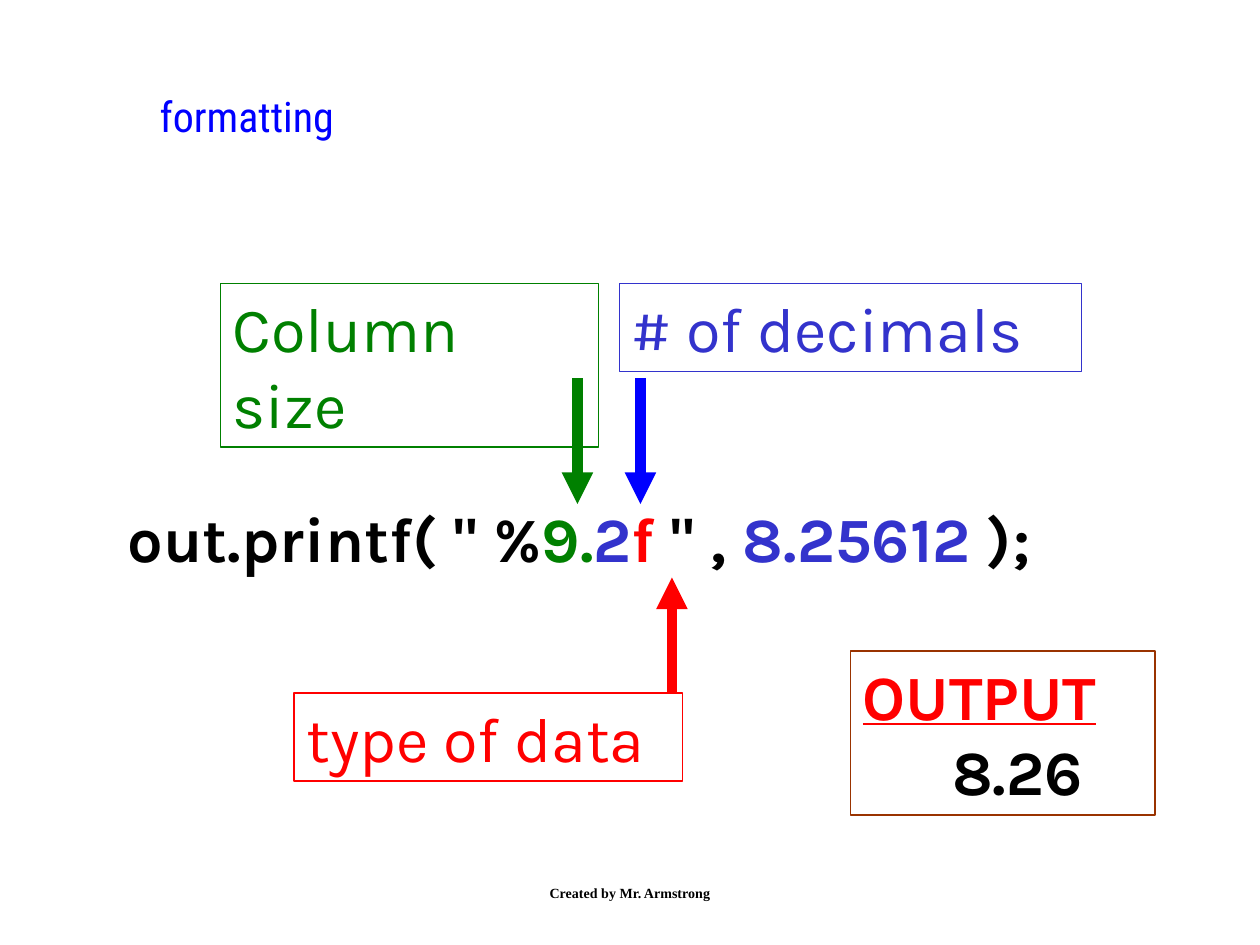
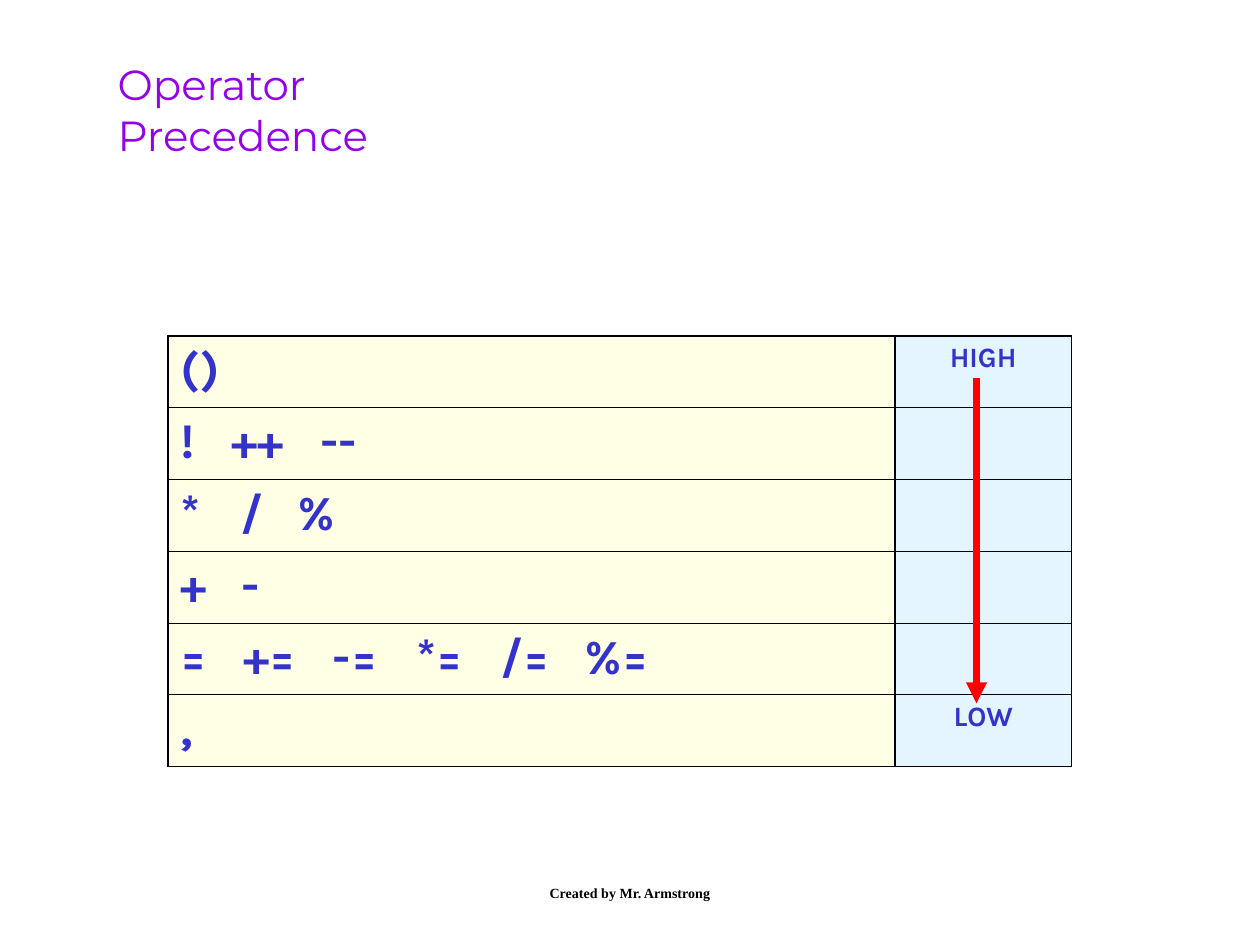
from dataclasses import dataclass

from lxml import etree
from pptx import Presentation
from pptx.dml.color import RGBColor
from pptx.enum.shapes import MSO_CONNECTOR, MSO_SHAPE
from pptx.enum.text import MSO_ANCHOR, MSO_AUTO_SIZE, PP_ALIGN
from pptx.oxml.ns import qn
from pptx.util import Pt

STRAIGHT = MSO_CONNECTOR.STRAIGHT
RECT = MSO_SHAPE.RECTANGLE
LEFT, CENTER = PP_ALIGN.LEFT, PP_ALIGN.CENTER
TOP, MIDDLE = MSO_ANCHOR.TOP, MSO_ANCHOR.MIDDLE
FIXED = MSO_AUTO_SIZE.NONE

HEX = {
    "black": "000000", "blue": "0000FF", "indigo": "3333CC",
    "green": "008000", "red": "FF0000", "brown": "993300",
    "violet": "9400ED", "cream": "FFFFCC", "sky": "CCECFF",
}
INSETS = {"margin_left": Pt(7.2), "margin_right": Pt(7.2),
          "margin_top": Pt(3.6), "margin_bottom": Pt(3.6)}
LARGE = {"name": "Karla", "size": Pt(36)}
CODE = LARGE | {"bold": True}
SIGN = {"name": "Karla", "size": Pt(28), "bold": True}
RANK = SIGN | {"size": Pt(16)}
CREDIT = {"name": "Times New Roman", "size": Pt(8), "bold": True}
THICK, THIN = 1.08, 0.45


@dataclass(frozen=True)
class Box:
    x: float
    y: float
    w: float
    h: float

    def place(self):
        return [Pt(n) for n in (self.x, self.y, self.w, self.h)]


@dataclass(frozen=True)
class Span:
    text: str
    color: str
    form: dict


@dataclass(frozen=True)
class Label:
    box: Box
    edge: str
    lines: tuple[Span, ...]


@dataclass(frozen=True)
class Arrow:
    x: float
    start: float
    end: float
    color: str
    width: float = 6


@dataclass(frozen=True)
class Level:
    signs: tuple[str, ...]
    stops: tuple[float, ...] = ()
    rank: str = ""


ARROWS = (
    Arrow(366, 216, 288, "blue"),
    Arrow(330, 216, 288, "green"),
    Arrow(384, 396, 330, "red"),
)
LABELS = (
    Label(Box(486, 372, 174, 93.6), "brown",
          (Span("OUTPUT", "red", CODE | {"underline": True}),
           Span("8.26", "black", CODE))),
    Label(Box(126, 162, 216, 93.6), "green",
          (Span("Column size", "green", LARGE),)),
    Label(Box(354, 162, 264, 50.4), "indigo",
          (Span("# of decimals", "indigo", LARGE),)),
    Label(Box(168, 396, 222, 50.4), "red",
          (Span("type of data", "red", LARGE),)),
)
CALL = (
    ('out.printf( " %', "black"), ("9.", "green"), ("2", "indigo"),
    ("f", "red"), (' " , ', "black"), ("8.25612 ", "indigo"), (");", "black"),
)
LEVELS = (
    Level(("()",), rank="HIGH"),
    Level(("!", "++", "--"), (29, 80)),
    Level(("*", "/", "%"), (34, 67)),
    Level(("+", "-"), (35,)),
    Level(("=", "+=", "-=", "*=", "/=", "%="), (36, 87, 135, 183, 231)),
    Level((",",), rank="LOW"),
)


def rgb(color: str) -> RGBColor:
    return RGBColor.from_string(HEX[color])


def apply(target, values: dict) -> None:
    for key, value in values.items():
        setattr(target, key, value)


def add_run(para, span: Span) -> None:
    run = para.add_run()
    run.text = span.text
    apply(run.font, span.form)
    run.font.color.rgb = rgb(span.color)


def set_frame(frame, wrap: bool = True, anchor=TOP) -> None:
    apply(frame, INSETS | {"word_wrap": wrap, "auto_size": FIXED,
                           "vertical_anchor": anchor})


def add_text(slide, box: Box, spans: list[Span], align=LEFT, anchor=TOP) -> None:
    frame = slide.shapes.add_textbox(*box.place()).text_frame
    set_frame(frame, anchor=anchor)
    para = frame.paragraphs[0]
    para.alignment = align
    for span in spans:
        add_run(para, span)


def add_label(slide, label: Label) -> None:
    """Outlined box; each line after the first is indented."""
    shape = slide.shapes.add_shape(RECT, *label.box.place())
    shape.shadow.inherit = False
    shape.fill.background()
    shape.line.color.rgb = rgb(label.edge)
    shape.line.width = Pt(1)
    frame = shape.text_frame
    set_frame(frame)
    for i, span in enumerate(label.lines):
        para = frame.add_paragraph() if i else frame.paragraphs[0]
        para.alignment = LEFT
        if i:
            para._p.get_or_add_pPr().set("marL", str(Pt(51)))
        add_run(para, span)


def add_arrow(slide, arrow: Arrow) -> None:
    x = Pt(arrow.x)
    line = slide.shapes.add_connector(
        STRAIGHT, x, Pt(arrow.start), x, Pt(arrow.end))
    line.line.color.rgb = rgb(arrow.color)
    line.line.width = Pt(arrow.width)
    props = line._element.spPr
    etree.SubElement(props.find(qn("a:ln")), qn("a:tailEnd"), type="triangle")
    etree.SubElement(props, qn("a:effectLst"))


def add_slide(deck, title: str, box: Box, font: str, color: str):
    """Slide with the shared title style and footer."""
    slide = deck.slides.add_slide(deck.slide_layouts[5])
    head = slide.shapes.title
    head.left, head.top, head.width, head.height = box.place()
    frame = head.text_frame
    set_frame(frame, wrap=False)
    for i, text in enumerate(title.split("\n")):
        para = frame.add_paragraph() if i else frame.paragraphs[0]
        para.alignment = LEFT
        add_run(para, Span(text, color, {"name": font, "size": Pt(24)}))
    add_text(slide, Box(246, 492, 228, 36),
             [Span("Created by Mr. Armstrong", "black", CREDIT)], CENTER, MIDDLE)
    return slide


def set_cell(cell, fill: str, top: float, base: float) -> None:
    """Borders come first, since the fill must follow them in the XML."""
    props = cell._tc.get_or_add_tcPr()
    for side, width in zip("LRTB", (THICK, THICK, top, base)):
        line = etree.SubElement(props, qn(f"a:ln{side}"), w=str(Pt(width)))
        paint = etree.SubElement(line, qn("a:solidFill"))
        etree.SubElement(paint, qn("a:srgbClr"), val=HEX["black"])
    cell.fill.solid()
    cell.fill.fore_color.rgb = rgb(fill)
    tint = props.find(qn("a:solidFill")).find(qn("a:srgbClr"))
    etree.SubElement(tint, qn("a:alpha"), val="50000")
    apply(cell, INSETS)


def add_stops(para, stops: tuple[float, ...]) -> None:
    tabs = etree.SubElement(para._p.get_or_add_pPr(), qn("a:tabLst"))
    for stop in stops:
        etree.SubElement(tabs, qn("a:tab"), pos=str(Pt(stop)), algn="l")


def add_levels(slide) -> None:
    box = Box(96, 192, 516.2, 41 * len(LEVELS))
    table = slide.shapes.add_table(len(LEVELS), 2, *box.place()).table
    apply(table, {"first_row": False, "horz_banding": False})
    for col, width in zip(table.columns, (415.4, 100.8)):
        col.width = Pt(width)
    for i, level in enumerate(LEVELS):
        top = THIN if i else THICK
        base = THICK if i == len(LEVELS) - 1 else THIN
        signs, rank = table.rows[i].cells
        set_cell(signs, "cream", top, base)
        set_cell(rank, "sky", top, base)
        para = signs.text_frame.paragraphs[0]
        if level.stops:
            add_stops(para, level.stops)
        add_run(para, Span("\t".join(level.signs), "indigo", SIGN))
        if level.rank:
            para = rank.text_frame.paragraphs[0]
            para.alignment = CENTER
            add_run(para, Span(level.rank, "indigo", RANK))


def main() -> None:
    deck = Presentation()
    deck.slide_width, deck.slide_height = Pt(720), Pt(540)

    slide = add_slide(deck, "formatting", Box(84, 48, 546, 54),
                      "Roboto Condensed", "blue")
    for arrow in ARROWS:
        add_arrow(slide, arrow)
    for label in LABELS:
        add_label(slide, label)
    add_text(slide, Box(66, 282, 556, 50.4),
             [Span(text, color, CODE) for text, color in CALL])

    slide = add_slide(deck, "Operator\nPrecedence", Box(60, 30, 588, 120),
                      "Montserrat", "violet")
    add_levels(slide)
    add_arrow(slide, Arrow(558, 216, 402, "red", 4))

    deck.save("out.pptx")


if __name__ == "__main__":
    main()
